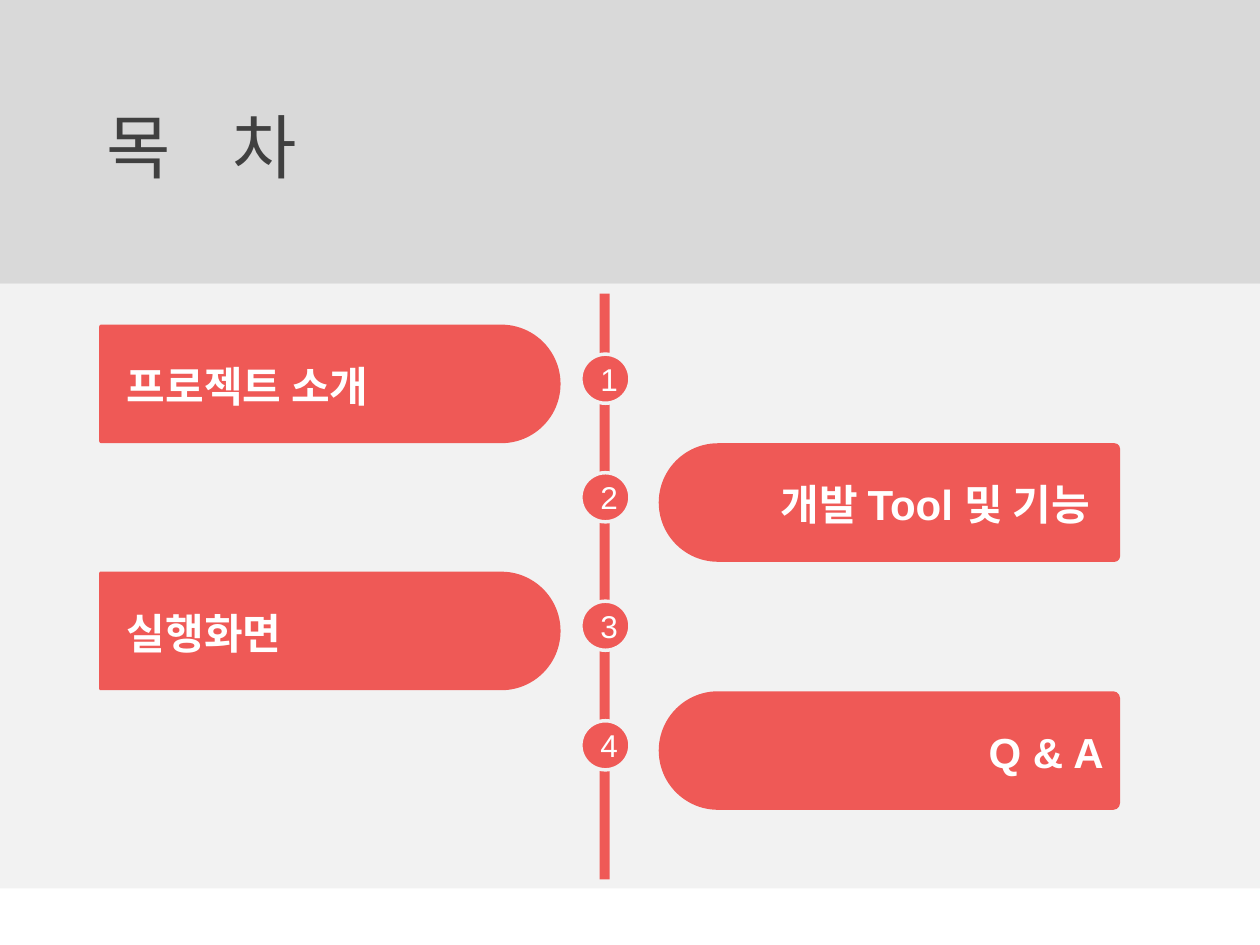
"""Build the contents slide: four agenda tabs alternating along a numbered spine."""
from dataclasses import dataclass

from lxml import etree
from pptx import Presentation
from pptx import util as u
from pptx.dml.color import RGBColor
from pptx.enum import shapes, text
from pptx.oxml.ns import qn


@dataclass(frozen=True)
class Theme:
    """Colours, font and type sizes."""
    accent: str = "EF5956"
    header: str = "D9D9D9"
    body: str = "F2F2F2"
    title: str = "404040"
    white: str = "FFFFFF"
    font: str = "Arial"
    title_size: int = 40
    label_size: int = 24
    number_size: int = 18


@dataclass(frozen=True)
class Box:
    """A rectangle in centimetres."""
    left: float
    top: float
    width: float
    height: float

    def emu(self) -> tuple:
        """Return the four lengths for python-pptx."""
        return tuple(u.Cm(v) for v in (self.left, self.top, self.width, self.height))


@dataclass(frozen=True)
class Section:
    """One agenda entry and its place on the spine."""
    title: str
    top: float
    label_left: float
    label_width: float
    corner: float
    on_left: bool
    align: text.PP_ALIGN = text.PP_ALIGN.LEFT
    wrap: bool = True


THEME = Theme()
SLIDE_WIDTH, SLIDE_HEIGHT = 25.4, 19.05
HEADER_HEIGHT, BODY_HEIGHT = 5.72, 12.19
TAB_LENGTH, TAB_HEIGHT = 9.3, 2.39
LEFT_TAB_CENTER, RIGHT_TAB_CENTER = 6.65, 17.93
TAB_CENTER_OFFSET = 0.6
BADGE_LEFT, BADGE_SIZE = 11.71, 0.99
LABEL_HEIGHT = 1.27
SECTIONS = (
    Section("프로젝트 소개", 7.14, 2.31, 5.89, 0.017, True, wrap=False),
    Section("개발 Tool 및 기능", 9.53, 15.49, 7.39, 0.046, False),
    Section("실행화면", 12.12, 2.31, 4.34, 0.012, True),
    Section("Q & A", 14.53, 14.5, 8, 0.058, False, text.PP_ALIGN.RIGHT),
)


def add_block(slide, kind, box: Box, color: str):
    """Add a flat filled shape without outline."""
    block = slide.shapes.add_shape(kind, *box.emu())
    block.shadow.inherit = False
    block.fill.solid()
    block.fill.fore_color.rgb = RGBColor.from_string(color)
    block.line.fill.background()
    return block


def style(paragraph, size: int, color: str, bold: bool = False) -> None:
    """Set the font of a whole paragraph."""
    font = paragraph.font
    font.name, font.size, font.bold = THEME.font, u.Pt(size), bold
    font.color.rgb = RGBColor.from_string(color)


def add_title(slide) -> None:
    """Add the heading with one tab stop between its syllables."""
    heading = slide.shapes.add_textbox(*Box(1.9, 0.74, 9.6, 4.39).emu()).text_frame
    heading.word_wrap = True
    heading.vertical_anchor = text.MSO_ANCHOR.MIDDLE
    line = heading.paragraphs[0]
    line.text = "목\t차"
    stops = etree.SubElement(line._p.get_or_add_pPr(), qn("a:tabLst"))
    etree.SubElement(stops, qn("a:tab"), pos=str(u.Cm(2.54)), algn="l")
    style(line, THEME.title_size, THEME.title)


def add_tab(slide, section: Section) -> None:
    """Add the half-rounded tab, its round end towards the spine."""
    center_x = LEFT_TAB_CENTER if section.on_left else RIGHT_TAB_CENTER
    center_y = section.top + TAB_CENTER_OFFSET
    box = Box(center_x - TAB_HEIGHT / 2, center_y - TAB_LENGTH / 2, TAB_HEIGHT, TAB_LENGTH)
    tab = add_block(slide, shapes.MSO_SHAPE.ROUND_2_SAME_RECTANGLE, box, THEME.accent)
    tab.rotation = 90 if section.on_left else 270
    tab.adjustments[0], tab.adjustments[1] = 0.5, section.corner


def add_badge(slide, number: int, section: Section) -> None:
    """Add the numbered circle on the spine."""
    box = Box(BADGE_LEFT, section.top, BADGE_SIZE, BADGE_SIZE)
    badge = add_block(slide, shapes.MSO_SHAPE.OVAL, box, THEME.accent)
    badge.line.color.rgb = RGBColor.from_string(THEME.body)
    badge.line.width = u.Pt(2)
    badge.text_frame.vertical_anchor = text.MSO_ANCHOR.MIDDLE
    digit = badge.text_frame.paragraphs[0]
    digit.text = str(number)
    digit.alignment = text.PP_ALIGN.CENTER
    style(digit, THEME.number_size, THEME.white)


def add_label(slide, section: Section) -> None:
    """Add the section title over its tab."""
    box = Box(section.label_left, section.top, section.label_width, LABEL_HEIGHT)
    frame = slide.shapes.add_textbox(*box.emu()).text_frame
    frame.word_wrap = section.wrap
    frame.auto_size = text.MSO_AUTO_SIZE.SHAPE_TO_FIT_TEXT
    label = frame.paragraphs[0]
    label.text = section.title
    label.alignment = section.align
    style(label, THEME.label_size, THEME.white, bold=True)


def main() -> None:
    """Build and save the slide."""
    deck = Presentation()
    deck.slide_width, deck.slide_height = u.Cm(SLIDE_WIDTH), u.Cm(SLIDE_HEIGHT)
    slide = deck.slides.add_slide(deck.slide_layouts[6])
    rectangle = shapes.MSO_SHAPE.RECTANGLE
    add_block(slide, rectangle, Box(0, HEADER_HEIGHT, SLIDE_WIDTH, BODY_HEIGHT), THEME.body)
    add_block(slide, rectangle, Box(0, 0, SLIDE_WIDTH, HEADER_HEIGHT), THEME.header)
    add_title(slide)
    for section in SECTIONS:
        add_tab(slide, section)
    add_block(slide, rectangle, Box(12.09, 5.92, 0.2, 11.81), THEME.accent)
    for number, section in enumerate(SECTIONS, start=1):
        add_badge(slide, number, section)
    for section in SECTIONS:
        add_label(slide, section)
    deck.save("out.pptx")


if __name__ == "__main__":
    main()
